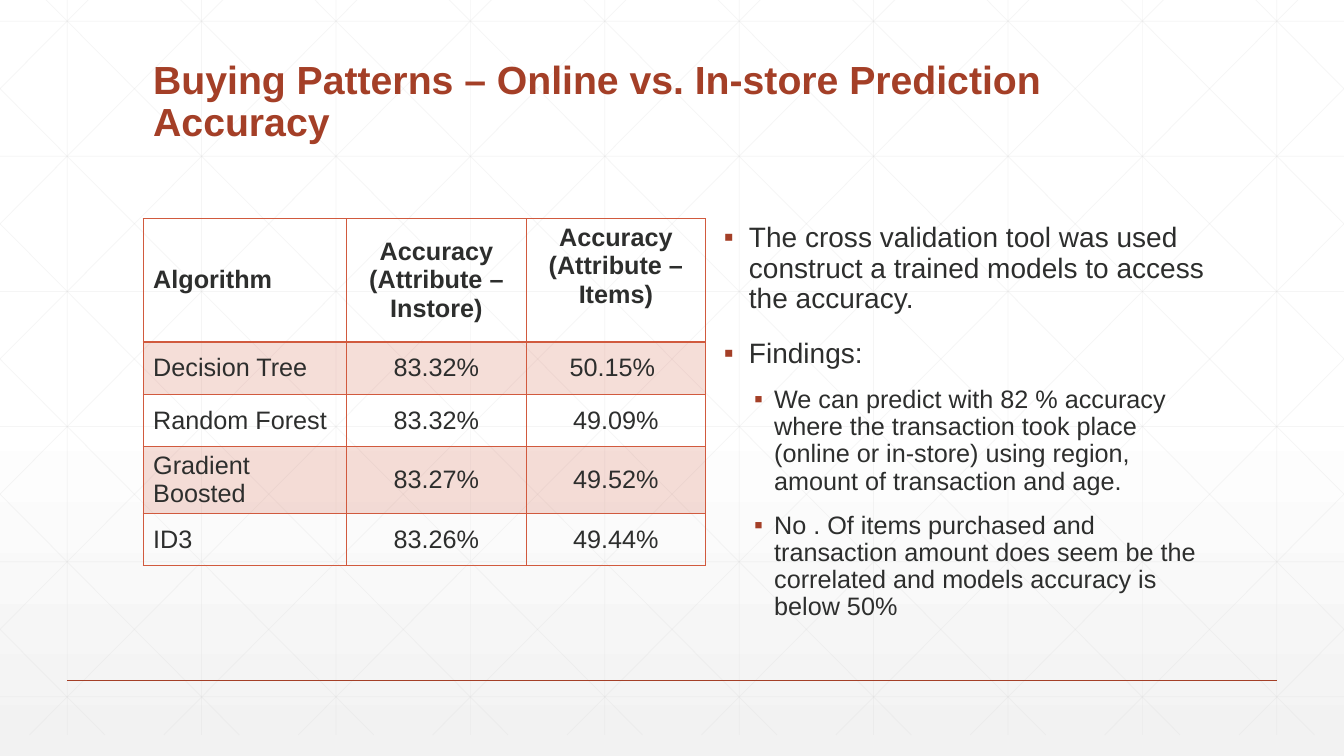
import copy
from dataclasses import dataclass
from typing import Any

import lxml.etree
import pptx
import pptx.dml.color
import pptx.enum.shapes
import pptx.enum.text
import pptx.oxml.ns
import pptx.util

Anchor = pptx.enum.text.MSO_ANCHOR
Align = pptx.enum.text.PP_ALIGN
Pt = pptx.util.Pt
qn = pptx.oxml.ns.qn

SLIDE_W, SLIDE_H = pptx.util.Inches(13.33), pptx.util.Inches(7.5)
COLS = ROWS = 40


@dataclass(frozen=True)
class Theme:
    font: str = "Arial"
    accent: str = "A43F27"
    table: str = "D15A3E"
    ink: str = "2D2E2D"
    lattice: str = "D9D9D9"
    paper: str = "FFFFFF"
    shade: str = "F2F2F2"
    title: int = 28
    body: int = 20
    detail: int = 18


@dataclass(frozen=True)
class Segment:
    x1: float
    y1: float
    x2: float
    y2: float


@dataclass(frozen=True)
class Bullet:
    text: str
    level: int = 0


@dataclass(frozen=True)
class BulletStyle:
    size: int
    before: int
    left: float
    hang: float


THEME = Theme()
BULLET_STYLES = (
    BulletStyle(THEME.body, 18, 0.25, 0.25),
    BulletStyle(THEME.detail, 12, 0.5, 0.2),
)
BULLETS = (
    Bullet("The cross validation tool was used construct a trained models to access the accuracy."),
    Bullet("Findings:"),
    Bullet("We can predict with 82 % accuracy where the transaction took place "
           "(online or in-store) using region, amount of transaction and age.", 1),
    Bullet("No . Of items purchased and transaction amount does seem be the "
           "correlated and models accuracy is below 50%", 1),
)
ACCURACY = (
    ("Algorithm", "Accuracy (Attribute – Instore)", "Accuracy (Attribute – Items)"),
    ("Decision Tree", "83.32%", "50.15% "),
    ("Random Forest", "83.32%", "49.09%"),
    ("Gradient Boosted", "83.27%", "49.52%"),
    ("ID3", "83.26%", "49.44%"),
)
COLUMN_WIDTHS = (6.06, 5.34, 5.34)
ROW_HEIGHTS = (6.5, 2.78, 2.78, 2.78, 2.78)
HEADER_LIFT = 1.77
LATTICE_TOP, LATTICE_BOTTOM, DIAGONAL_RUN = -1.12, 38.88, 22.37


def across(cols: float) -> int:
    return round(SLIDE_W * cols / COLS)


def down(rows: float) -> int:
    return round(SLIDE_H * rows / ROWS)


def rgb(value: str) -> pptx.dml.color.RGBColor:
    return pptx.dml.color.RGBColor.from_string(value)


def apply(target: Any, values: dict[str, Any]) -> None:
    for name, value in values.items():
        setattr(target, name, value)


def set_alpha(element: Any, percent: int) -> None:
    color = element.find(".//" + qn("a:srgbClr"))
    lxml.etree.SubElement(color, qn("a:alpha"), val=str(percent * 1000))


def write(p: Any, text: str, size: int, color: str, bold: bool = False) -> None:
    r = p.add_run()
    r.text = text
    apply(r.font, {"name": THEME.font, "size": Pt(size), "bold": bold})
    r.font.color.rgb = rgb(color)


def place(sp: Any, left: float, top: float, width: float, height: float) -> Any:
    apply(sp, {"left": across(left), "top": down(top),
               "width": across(width), "height": down(height)})
    tf = sp.text_frame
    apply(tf, {"word_wrap": True, "vertical_anchor": Anchor.TOP,
               "auto_size": pptx.enum.text.MSO_AUTO_SIZE.NONE})
    return tf


def add_line(shapes: Any, seg: Segment, color: str, width: float) -> Any:
    line = shapes.add_connector(pptx.enum.shapes.MSO_CONNECTOR.STRAIGHT,
                                across(seg.x1), down(seg.y1), across(seg.x2), down(seg.y2))
    line.line.width = Pt(width)
    line.line.color.rgb = rgb(color)
    props = line.element.find(qn("p:spPr"))
    lxml.etree.SubElement(props, qn("a:effectLst"))
    return props


def lattice_segments() -> list[Segment]:
    segments = [Segment(2 + 4 * i, LATTICE_TOP, 2 + 4 * i, LATTICE_BOTTOM) for i in range(10)]
    segments += [Segment(0, 1.12 + 7.15 * i, COLS, 1.12 + 7.15 * i) for i in range(6)]
    slope = (LATTICE_BOTTOM - LATTICE_TOP) / DIAGONAL_RUN
    for i in range(-5, 10):
        start = 0.75 + 4 * i
        x1, x2 = max(start, 0), min(start + DIAGONAL_RUN, COLS)
        y1, y2 = (LATTICE_TOP + (x - start) * slope for x in (x1, x2))
        segments += [Segment(x1, y1, x2, y2), Segment(COLS - x1, y1, COLS - x2, y2)]
    return segments


def add_background(s: Any) -> None:
    fill = s.background.fill
    fill.gradient()
    fill.gradient_angle = 270
    first, last = fill.gradient_stops
    first.color.rgb, last.color.rgb = rgb(THEME.paper), rgb(THEME.shade)
    first.position, last.position = 0, 1
    stops = s.element.find(".//" + qn("a:gsLst"))
    middle = copy.deepcopy(stops[0])
    middle.set("pos", "53000")
    stops.insert(1, middle)
    lattice = s.shapes.add_group_shape()
    for seg in lattice_segments():
        set_alpha(add_line(lattice.shapes, seg, THEME.lattice, 0.5), 25)
    s.shapes.element.insert(2, lattice.element)
    add_line(s.shapes, Segment(2, 36, 38, 36), THEME.accent, 1)


def add_title(s: Any) -> None:
    p = place(s.shapes.title, 4.26, 2.93, 31.5, 6.67).paragraphs[0]
    apply(p, {"alignment": Align.LEFT, "line_spacing": 0.9})
    write(p, "Buying Patterns – Online vs. In-store Prediction Accuracy",
          THEME.title, THEME.accent, True)


def add_bullets(s: Any) -> None:
    tf = place(s.placeholders[1], 21.24, 11.57, 15.03, 21.92)
    for i, bullet in enumerate(BULLETS):
        p = tf.add_paragraph() if i else tf.paragraphs[0]
        style = BULLET_STYLES[bullet.level]
        apply(p, {"level": bullet.level, "line_spacing": 0.9,
                  "space_before": Pt(style.before), "space_after": Pt(0)})
        write(p, bullet.text, style.size, THEME.ink)
        props = p._p.get_or_add_pPr()
        props.set("marL", str(pptx.util.Inches(style.left)))
        props.set("indent", str(-pptx.util.Inches(style.hang)))
        color = lxml.etree.SubElement(props, qn("a:buClr"))
        lxml.etree.SubElement(color, qn("a:srgbClr"), val=THEME.accent)
        lxml.etree.SubElement(props, qn("a:buFont"), typeface=THEME.font)
        lxml.etree.SubElement(props, qn("a:buChar"), char="▪")


def add_borders(cell: Any, widths: dict[str, int]) -> None:
    props = cell._tc.get_or_add_tcPr()
    for i, (side, width) in enumerate(widths.items()):
        line = lxml.etree.Element(qn("a:ln" + side), w=str(Pt(width)))
        fill = lxml.etree.SubElement(line, qn("a:solidFill"))
        lxml.etree.SubElement(fill, qn("a:srgbClr"), val=THEME.table)
        props.insert(i, line)


def add_accuracy_table(s: Any) -> None:
    table = s.shapes.add_table(len(ACCURACY), len(COLUMN_WIDTHS), across(4.26), down(11.57),
                               across(sum(COLUMN_WIDTHS)), down(sum(ROW_HEIGHTS))).table
    apply(table, {"first_row": False, "horz_banding": False})
    for column, width in zip(table.columns, COLUMN_WIDTHS):
        column.width = across(width)
    for i, (row, height, texts) in enumerate(zip(table.rows, ROW_HEIGHTS, ACCURACY)):
        row.height = down(height)
        for j, (cell, text) in enumerate(zip(row.cells, texts)):
            cell.vertical_anchor = Anchor.MIDDLE
            p = cell.text_frame.paragraphs[0]
            p.alignment = Align.CENTER if j else Align.LEFT
            write(p, text, THEME.detail, THEME.ink, i == 0)
            if i % 2:
                cell.fill.solid()
                cell.fill.fore_color.rgb = rgb(THEME.table)
                set_alpha(cell._tc.tcPr, 20)
            else:
                cell.fill.background()
            add_borders(cell, {"L": 1, "R": 1, "T": 2 if i == 1 else 1, "B": 1 if i else 2})
    table.cell(0, 2).margin_bottom = down(HEADER_LIFT)


def main() -> None:
    prs = pptx.Presentation()
    apply(prs, {"slide_width": SLIDE_W, "slide_height": SLIDE_H})
    s = prs.slides.add_slide(prs.slide_layouts[1])
    add_background(s)
    add_title(s)
    add_bullets(s)
    add_accuracy_table(s)
    prs.save("out.pptx")


if __name__ == "__main__":
    main()
